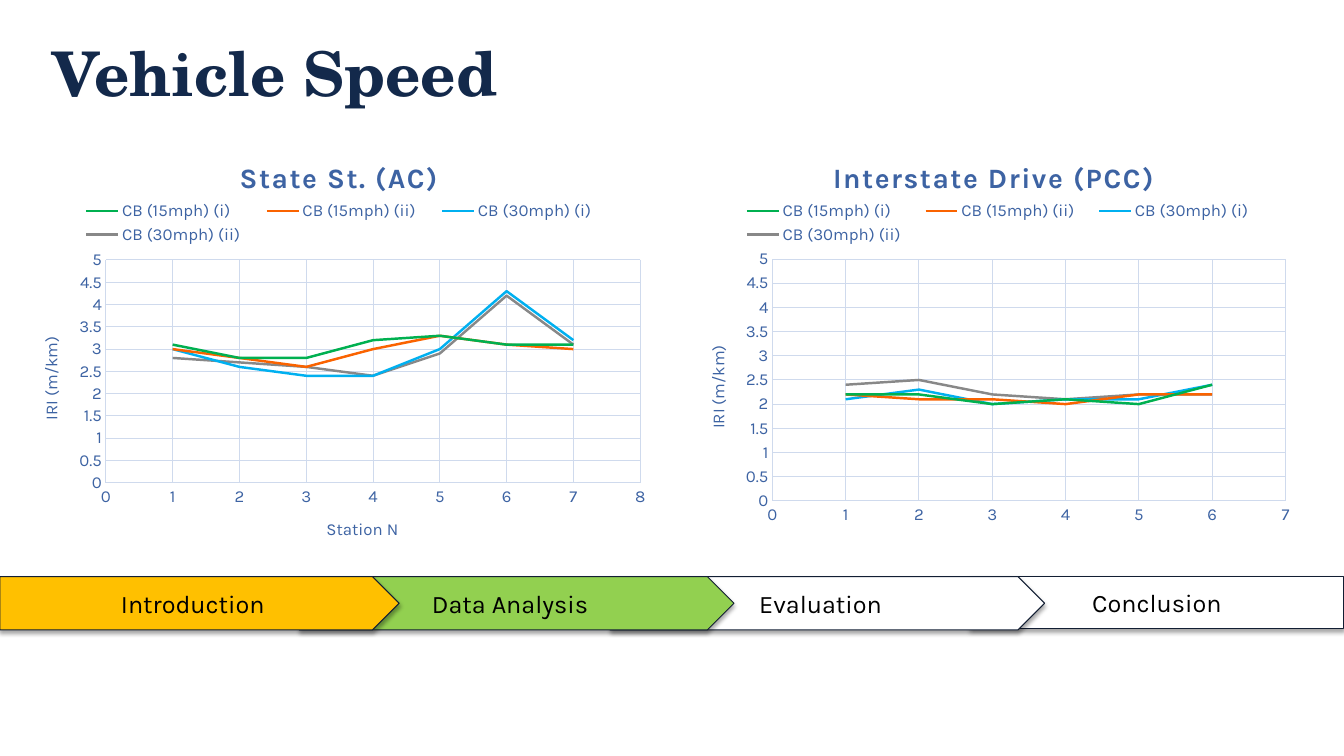
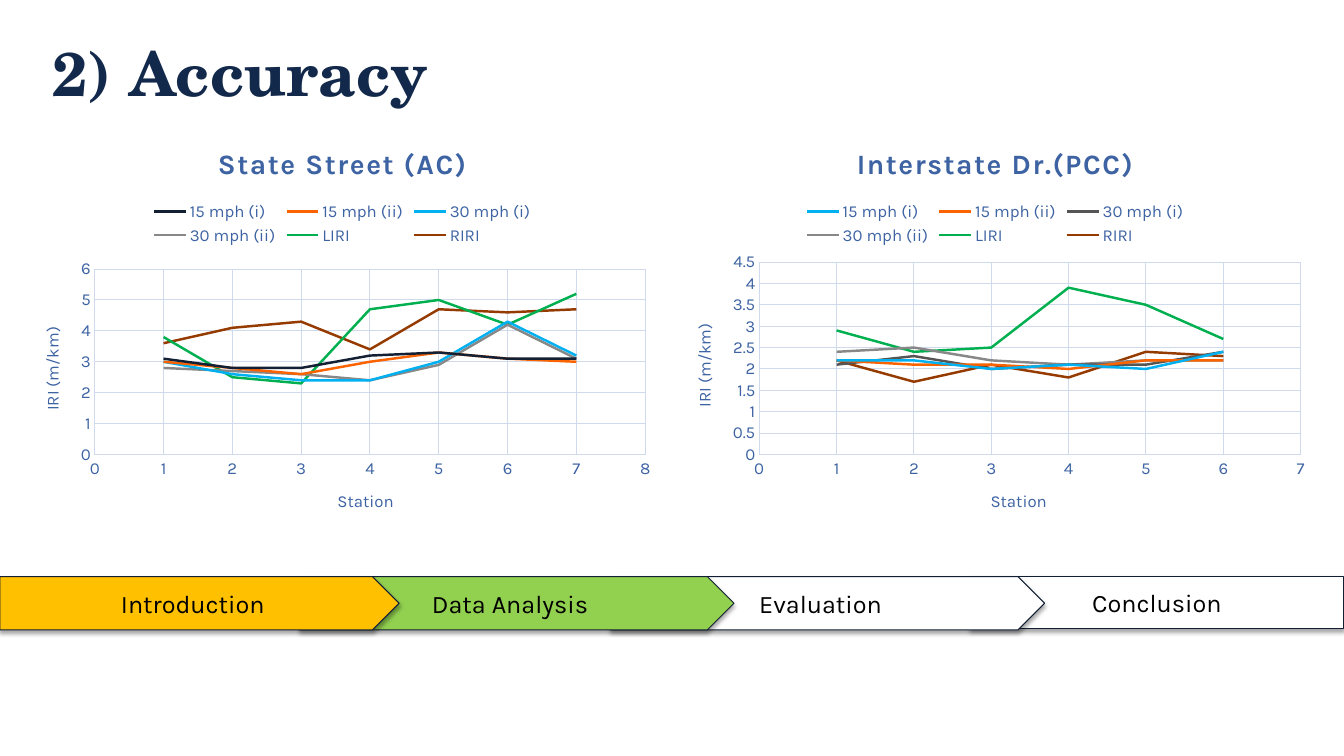
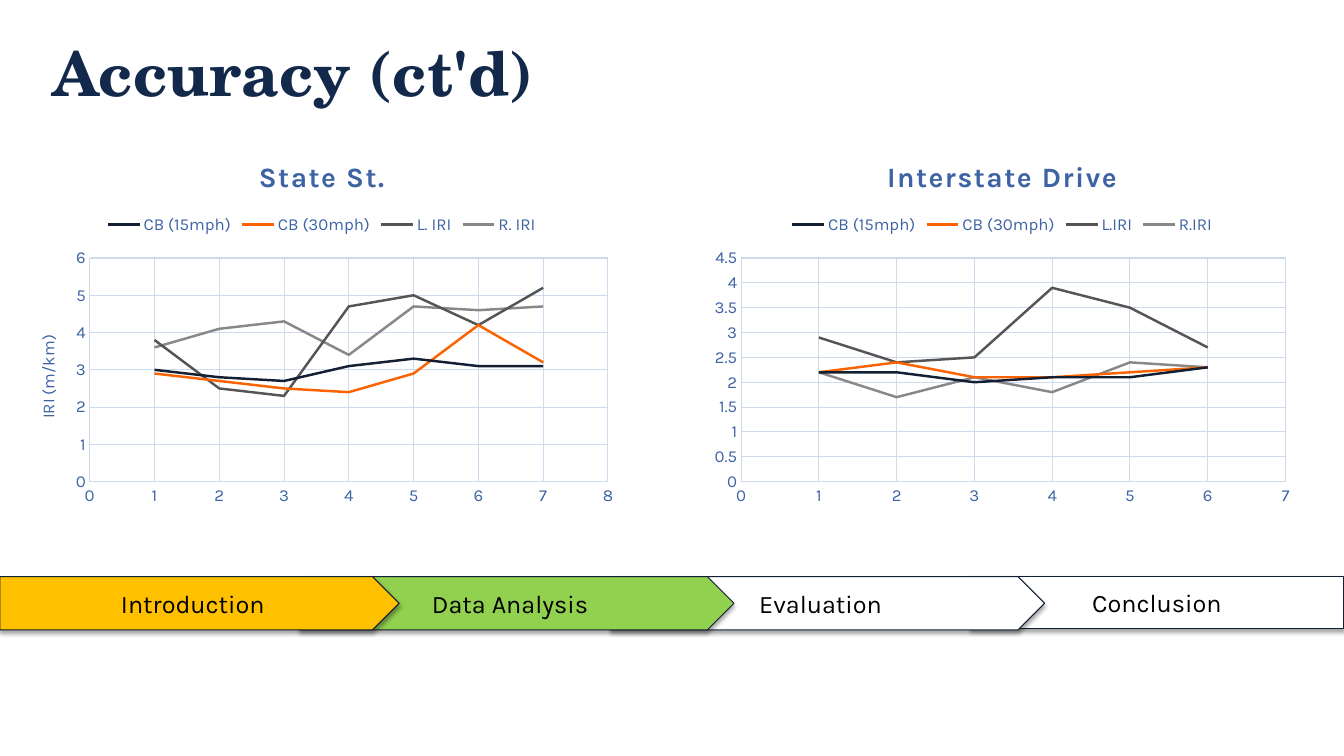
from dataclasses import dataclass

from pptx import Presentation
from pptx.chart.data import XyChartData
from pptx.dml.color import RGBColor
from pptx.enum.chart import XL_CHART_TYPE as ChartType
from pptx.enum.chart import XL_LEGEND_POSITION as LegendPosition
from pptx.enum.chart import XL_TICK_MARK as TickMark
from pptx.enum.shapes import MSO_SHAPE as Preset
from pptx.enum.text import MSO_ANCHOR as Anchor
from pptx.enum.text import MSO_AUTO_SIZE as AutoSize
from pptx.enum.text import PP_ALIGN as Align
from pptx.oxml import parse_xml
from pptx.oxml.ns import nsdecls
from pptx.util import Inches, Pt


@dataclass(frozen=True)
class Theme:
    heading_font: str = "TeX Gyre Schola"
    body_font: str = "Karla"
    title_size: int = 44
    step_size: int = 18
    chart_title_size: int = 20
    label_size: int = 12
    title: str = "13294B"
    text: str = "000000"
    outline: str = "121E33"
    label: str = "3D63A3"
    grid: str = "CFDAED"
    hairline: float = 0.75
    series_line: float = 1.75
    white: str = "FFFFFF"
    amber: str = "FFC000"
    lime: str = "92D050"
    navy: str = "131F33"
    orange: str = "FA6300"
    sky: str = "00B0F0"
    silver: str = "888888"
    charcoal: str = "555555"
    green: str = "00B050"
    brown: str = "963B00"


THEME = Theme()


@dataclass(frozen=True)
class Box:
    left: float
    top: float
    width: float
    height: float

    def inches(self):
        return [Inches(side) for side in
                (self.left, self.top, self.width, self.height)]

    def fractions_of(self, outer):
        return ((self.left - outer.left) / outer.width,
                (self.top - outer.top) / outer.height,
                self.width / outer.width, self.height / outer.height)


TITLE_BOX = Box(0.42, 0.3, 11.54, 1.25)

# Progress steps from back to front: label, preset, fill, box
STEPS = [
    ("Conclusion", Preset.RECTANGLE, THEME.white, Box(9.62, 5.72, 3.71, 0.52)),
    ("Evaluation", Preset.PENTAGON, THEME.white, Box(6.05, 5.72, 4.31, 0.53)),
    ("Data Analysis", Preset.PENTAGON, THEME.lime, Box(2.97, 5.72, 4.31, 0.53)),
    ("Introduction", Preset.PENTAGON, THEME.amber, Box(0, 5.72, 3.96, 0.53)),
]

# Roughness by station: two runs at each speed, then left and right wheel path
STATE = {
    "15i": [3.1, 2.8, 2.8, 3.2, 3.3, 3.1, 3.1],
    "15ii": [3, 2.8, 2.6, 3, 3.3, 3.1, 3],
    "30i": [3, 2.6, 2.4, 2.4, 3, 4.3, 3.2],
    "30ii": [2.8, 2.7, 2.6, 2.4, 2.9, 4.2, 3.1],
    "15": [3, 2.8, 2.7, 3.1, 3.3, 3.1, 3.1],
    "30": [2.9, 2.7, 2.5, 2.4, 2.9, 4.2, 3.2],
    "left": [3.8, 2.5, 2.3, 4.7, 5, 4.2, 5.2],
    "right": [3.6, 4.1, 4.3, 3.4, 4.7, 4.6, 4.7],
}
INTERSTATE = {
    "15i": [2.2, 2.2, 2, 2.1, 2, 2.4],
    "15ii": [2.2, 2.1, 2.1, 2, 2.2, 2.2],
    "30i": [2.1, 2.3, 2, 2.1, 2.1, 2.4],
    "30ii": [2.4, 2.5, 2.2, 2.1, 2.2, 2.2],
    "15": [2.2, 2.2, 2, 2.1, 2.1, 2.3],
    "30": [2.2, 2.4, 2.1, 2.1, 2.2, 2.3],
    "left": [2.9, 2.4, 2.5, 3.9, 3.5, 2.7],
    "right": [2.2, 1.7, 2.1, 1.8, 2.4, 2.3],
}
RUNS = ["15i", "15ii", "30i", "30ii"]
PATHS = ["left", "right"]

# Line styles: data keys, series names and colours
SPEED = (RUNS, ["CB (15mph) (i)", "CB (15mph) (ii)",
                "CB (30mph) (i)", "CB (30mph) (ii)"],
         [THEME.green, THEME.orange, THEME.sky, THEME.silver])
RUN_NAMES = ["15 mph (i)", "15 mph (ii)", "30 mph (i)", "30 mph (ii)",
             "LIRI", "RIRI"]
STATE_RUNS = (RUNS + PATHS, RUN_NAMES,
              [THEME.navy, THEME.orange, THEME.sky, THEME.silver,
               THEME.green, THEME.brown])
INTERSTATE_RUNS = (RUNS + PATHS, RUN_NAMES,
                   [THEME.sky, THEME.orange, THEME.charcoal, THEME.silver,
                    THEME.green, THEME.brown])
MEAN_KEYS = ["15", "30"] + PATHS
MEAN_COLORS = [THEME.navy, THEME.orange, THEME.charcoal, THEME.silver]
STATE_MEANS = (MEAN_KEYS, ["CB (15mph)", "CB (30mph)", "L. IRI", "R. IRI"],
               MEAN_COLORS)
INTERSTATE_MEANS = (MEAN_KEYS, ["CB (15mph)", "CB (30mph)", "L.IRI", "R.IRI"],
                    MEAN_COLORS)
ROUGHNESS = "IRI (m/km)"

SLIDES = [
    ("Vehicle Speed", [
        dict(title="Interstate Drive (PCC)", data=INTERSTATE, style=SPEED,
             box=Box(6.8, 1.39, 6.11, 3.9), plot=Box(7.66, 2.57, 5.09, 2.4),
             legend=Box(7.22, 1.96, 5.35, 0.5), top=5, unit=0.5,
             y_title=ROUGHNESS),
        dict(title="State St. (AC)", data=STATE, style=SPEED,
             box=Box(0.19, 1.39, 6.34, 4.19), plot=Box(1.05, 2.58, 5.3, 2.21),
             legend=Box(0.65, 1.96, 5.42, 0.5), top=5, unit=0.5,
             x_title="Station N", y_title=ROUGHNESS),
    ]),
    ("2) Accuracy", [
        dict(title="State Street (AC)", data=STATE, style=STATE_RUNS,
             box=Box(0.21, 1.25, 6.37, 4.04), plot=Box(0.94, 2.67, 5.46, 1.84),
             top=6, unit=1, x_title="Station", y_title=ROUGHNESS),
        dict(title="Interstate Dr.(PCC)", data=INTERSTATE, style=INTERSTATE_RUNS,
             box=Box(6.67, 1.25, 6.4, 4.04), plot=Box(7.53, 2.6, 5.37, 1.91),
             top=4.5, unit=0.5, x_title="Station", y_title=ROUGHNESS),
    ]),
    ("Accuracy (ct'd)", [
        dict(title="Interstate Drive", data=INTERSTATE, style=INTERSTATE_MEANS,
             box=Box(6.97, 1.39, 5.94, 3.7), plot=Box(7.35, 2.56, 5.4, 2.22),
             top=4.5, unit=0.5),
        dict(title="State St.", data=STATE, style=STATE_MEANS,
             box=Box(0.17, 1.39, 6.04, 3.7), plot=Box(0.89, 2.56, 5.14, 2.22),
             top=6, unit=1, y_title=ROUGHNESS),
    ]),
]


def rgb(color):
    return RGBColor.from_string(color)


def format_font(font, size, color, name=THEME.body_font, bold=False):
    font.name, font.size, font.bold = name, Pt(size), bold
    font.color.rgb = rgb(color)


def write(frame, text, align=None, spacing=None, **style):
    """Put one formatted line of text in a frame."""
    para = frame.paragraphs[0]
    para.alignment = align
    span = para.add_run()
    span.text = text
    format_font(span.font, **style)
    if spacing:
        span.font._element.set("spc", str(spacing))


def format_line(line, color, width=THEME.hairline):
    line.color.rgb = rgb(color)
    line.width = Pt(width)


def add_title(page, text):
    title = page.shapes.title
    title.left, title.top, title.width, title.height = TITLE_BOX.inches()
    frame = title.text_frame
    frame.auto_size = AutoSize.NONE
    frame.vertical_anchor = Anchor.TOP
    write(frame, text, align=Align.LEFT, size=THEME.title_size,
          color=THEME.title, name=THEME.heading_font, bold=True)


def add_shadow(shape):
    shape._element.spPr.append(parse_xml(
        f'<a:effectLst {nsdecls("a")}>'
        '<a:outerShdw blurRad="40000" dist="23000" dir="5400000" rotWithShape="0">'
        '<a:srgbClr val="000000"><a:alpha val="35000"/></a:srgbClr>'
        '</a:outerShdw></a:effectLst>'))


def add_progress_band(page):
    for label, preset, fill, box in STEPS:
        step = page.shapes.add_shape(preset, *box.inches())
        step.fill.solid()
        step.fill.fore_color.rgb = rgb(fill)
        format_line(step.line, THEME.outline)
        add_shadow(step)
        step.text_frame.vertical_anchor = Anchor.MIDDLE
        write(step.text_frame, label, align=Align.CENTER,
              size=THEME.step_size, color=THEME.text)


def manual_layout(part, outer, inner=False):
    """Return a layout element holding part as fractions of outer."""
    target = '<c:layoutTarget val="inner"/>' if inner else ""
    sizes = "".join(f'<c:{tag} val="{value:.4f}"/>' for tag, value
                    in zip("xywh", part.fractions_of(outer)))
    return parse_xml(
        f'<c:layout {nsdecls("c")}><c:manualLayout>{target}'
        f'<c:xMode val="edge"/><c:yMode val="edge"/>{sizes}'
        '</c:manualLayout></c:layout>')


def format_axis(axis, top, unit, title=None, upright=False):
    axis.minimum_scale, axis.maximum_scale, axis.major_unit = 0, top, unit
    axis.major_tick_mark = axis.minor_tick_mark = TickMark.NONE
    axis.has_major_gridlines = True
    format_line(axis.major_gridlines.format.line, THEME.grid)
    format_line(axis.format.line, THEME.grid)
    format_font(axis.tick_labels.font, THEME.label_size, THEME.label)
    axis.has_title = title is not None
    if title:
        frame = axis.axis_title.text_frame
        write(frame, title, size=THEME.label_size, color=THEME.label)
        if upright:
            frame._txBody.bodyPr.set("rot", "-5400000")
            frame._txBody.bodyPr.set("vert", "horz")


def add_roughness_chart(page, title, data, style, box, plot, top, unit,
                        legend=None, x_title=None, y_title=None):
    # Data
    chart_data = XyChartData()
    keys, names, colors = style
    for key, name in zip(keys, names):
        series = chart_data.add_series(name)
        for station, value in enumerate(data[key], start=1):
            series.add_data_point(station, value)
    chart = page.shapes.add_chart(ChartType.XY_SCATTER_LINES_NO_MARKERS,
                                  *box.inches(), chart_data).chart
    format_font(chart.font, 10, THEME.navy)

    # Title and legend
    chart.has_title = True
    write(chart.chart_title.text_frame, title, spacing=100, bold=True,
          size=THEME.chart_title_size, color=THEME.label)
    chart.has_legend = True
    chart.legend.position = LegendPosition.TOP
    chart.legend.include_in_layout = False
    format_font(chart.legend.font, THEME.label_size, THEME.label)

    # Placement of the plot and legend
    root = chart._chartSpace
    for old in root.xpath(".//c:plotArea/c:layout | .//c:legend/c:layout"):
        old.getparent().remove(old)
    root.xpath(".//c:plotArea")[0].insert(0, manual_layout(plot, box, inner=True))
    if legend:
        root.xpath(".//c:legendPos")[0].addnext(manual_layout(legend, box))

    # Axes and lines
    stations = len(data[keys[0]])
    format_axis(chart.category_axis, stations + 1, 1, x_title)
    format_axis(chart.value_axis, top, unit, y_title, upright=True)
    chart.plots[0].vary_by_categories = False
    for series, color in zip(chart.plots[0].series, colors):
        series.smooth = False
        format_line(series.format.line, color, THEME.series_line)


def add_comparison_slide(deck, title, charts):
    page = deck.slides.add_slide(deck.slide_layouts.get_by_name("Title Only"))
    add_title(page, title)
    add_progress_band(page)
    for chart in charts:
        add_roughness_chart(page, **chart)


def main():
    deck = Presentation()
    deck.slide_width, deck.slide_height = Inches(13.33), Inches(7.5)
    for title, charts in SLIDES:
        add_comparison_slide(deck, title, charts)
    deck.save("out.pptx")


if __name__ == "__main__":
    main()
